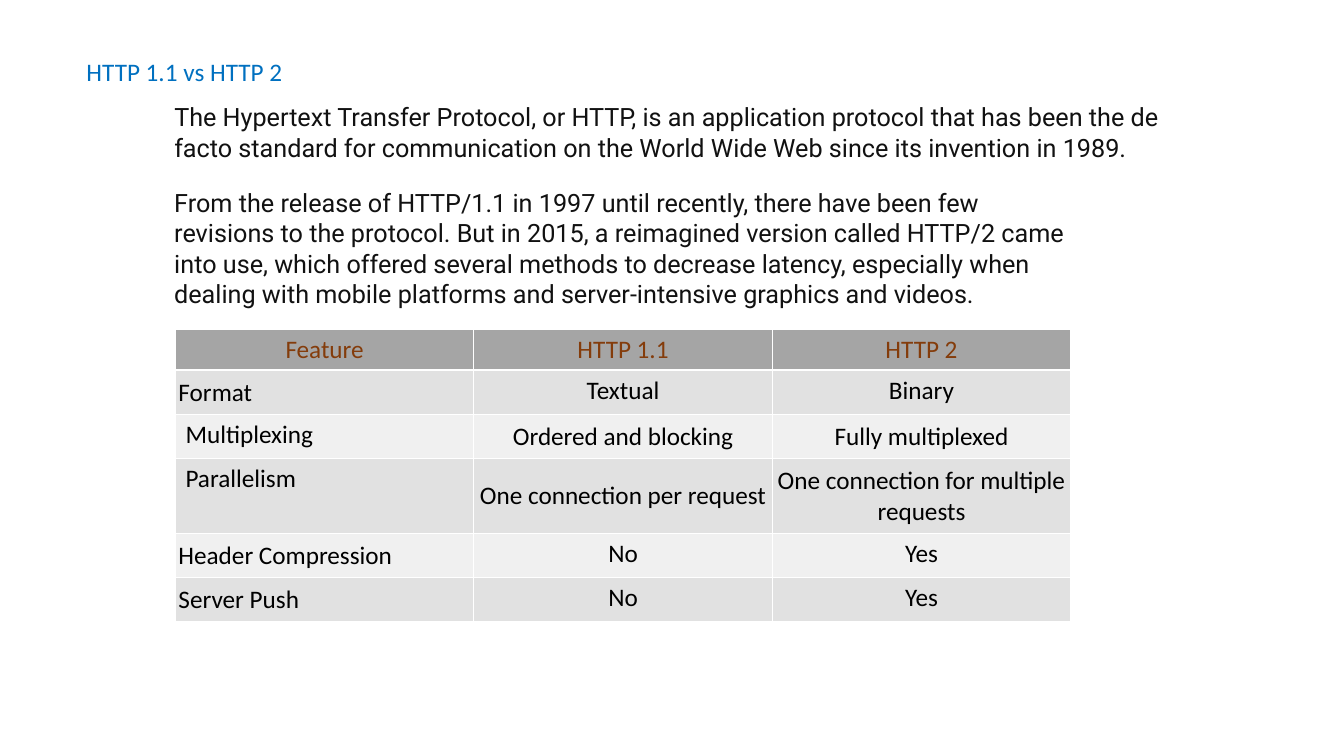
from pptx import Presentation
from pptx.dml.color import RGBColor
from pptx.enum.text import MSO_ANCHOR, PP_ALIGN
from pptx.util import Inches, Pt

LEFT, CENTER = PP_ALIGN.LEFT, PP_ALIGN.CENTER
MIDDLE = MSO_ANCHOR.MIDDLE

THEME = {
    "size": 18, "heading_font": "Calibri", "body_font": "Roboto",
    "heading": "0070C0", "body": "111111",
    "header_text": "843C0B", "cell_text": "000000",
    "header_fill": "A5A5A5", "row_fills": ("E1E1E1", "F0F0F0"),
}

# Content: text, (left, top, width, height), font, colour, wrap
TEXTS = [
    ("HTTP 1.1 vs HTTP 2", (0.76, 0.51, 2.16, 0.4), "heading_font", "heading", False),
    ("The Hypertext Transfer Protocol, or HTTP, is an application protocol that has "
     "been the de facto standard for communication on the World Wide Web since its "
     "invention in 1989.", (1.63, 0.96, 10.52, 0.71), "body_font", "body", True),
    ("From the release of HTTP/1.1 in 1997 until recently, there have been few "
     "revisions to the protocol. But in 2015, a reimagined version called HTTP/2 came "
     "into use, which offered several methods to decrease latency, especially when "
     "dealing with mobile platforms and server-intensive graphics and videos.",
     (1.63, 1.81, 9.1, 1.31), "body_font", "body", True),
]
COMPARISON = [
    ("Feature", "HTTP 1.1", "HTTP 2"),
    ("Format", "Textual", "Binary"),
    ("Multiplexing", "Ordered and blocking", "Fully multiplexed"),
    ("Parallelism", "One connection per request", "One connection for multiple requests"),
    ("Header Compression", "No", "Yes"),
    ("Server Push", "No", "Yes"),
]
ROW_HEIGHTS = (0.4, 0.44, 0.44, 0.72, 0.44, 0.44)
TABLE_LEFT, TABLE_TOP, COLUMN_WIDTH = 1.74, 3.27, 2.96
# Cells with narrow side margins, centred vertically: (row, column)
TIGHT_CELLS = {(1, 0), (2, 1), (2, 2), (3, 1), (3, 2), (4, 0), (5, 0)}


def write(text_frame, text, font_name, color, alignment=LEFT):
    paragraph = text_frame.paragraphs[0]
    paragraph.text = text
    paragraph.alignment = alignment
    font = paragraph.font
    font.name, font.size, font.bold = font_name, Pt(THEME["size"]), False
    font.color.rgb = RGBColor.from_string(color)


presentation = Presentation()
presentation.slide_width, presentation.slide_height = Inches(13.33), Inches(7.5)
slide = presentation.slides.add_slide(presentation.slide_layouts[6])

# Heading and introduction
for text, box, font_key, color_key, wrap in TEXTS:
    text_frame = slide.shapes.add_textbox(*map(Inches, box)).text_frame
    text_frame.word_wrap = wrap
    write(text_frame, text, THEME[font_key], THEME[color_key])

# Comparison table; its default style supplies the white borders
column_count = len(COMPARISON[0])
table = slide.shapes.add_table(
    len(COMPARISON), column_count, Inches(TABLE_LEFT), Inches(TABLE_TOP),
    Inches(COLUMN_WIDTH * column_count), Inches(sum(ROW_HEIGHTS))).table
for column in table.columns:
    column.width = Inches(COLUMN_WIDTH)

for row_index, (labels, height) in enumerate(zip(COMPARISON, ROW_HEIGHTS)):
    table.rows[row_index].height = Inches(height)
    is_header = row_index == 0
    fill = THEME["header_fill"] if is_header else THEME["row_fills"][(row_index - 1) % 2]
    color = THEME["header_text" if is_header else "cell_text"]
    for column_index, label in enumerate(labels):
        cell = table.cell(row_index, column_index)
        cell.fill.solid()
        cell.fill.fore_color.rgb = RGBColor.from_string(fill)
        if (row_index, column_index) in TIGHT_CELLS:
            cell.vertical_anchor = MIDDLE
            cell.margin_left = cell.margin_right = Inches(0.03)
            cell.margin_top = cell.margin_bottom = Inches(0.07)
        alignment = CENTER if is_header or column_index else LEFT
        write(cell.text_frame, label, THEME["heading_font"], color, alignment)

presentation.save("out.pptx")
